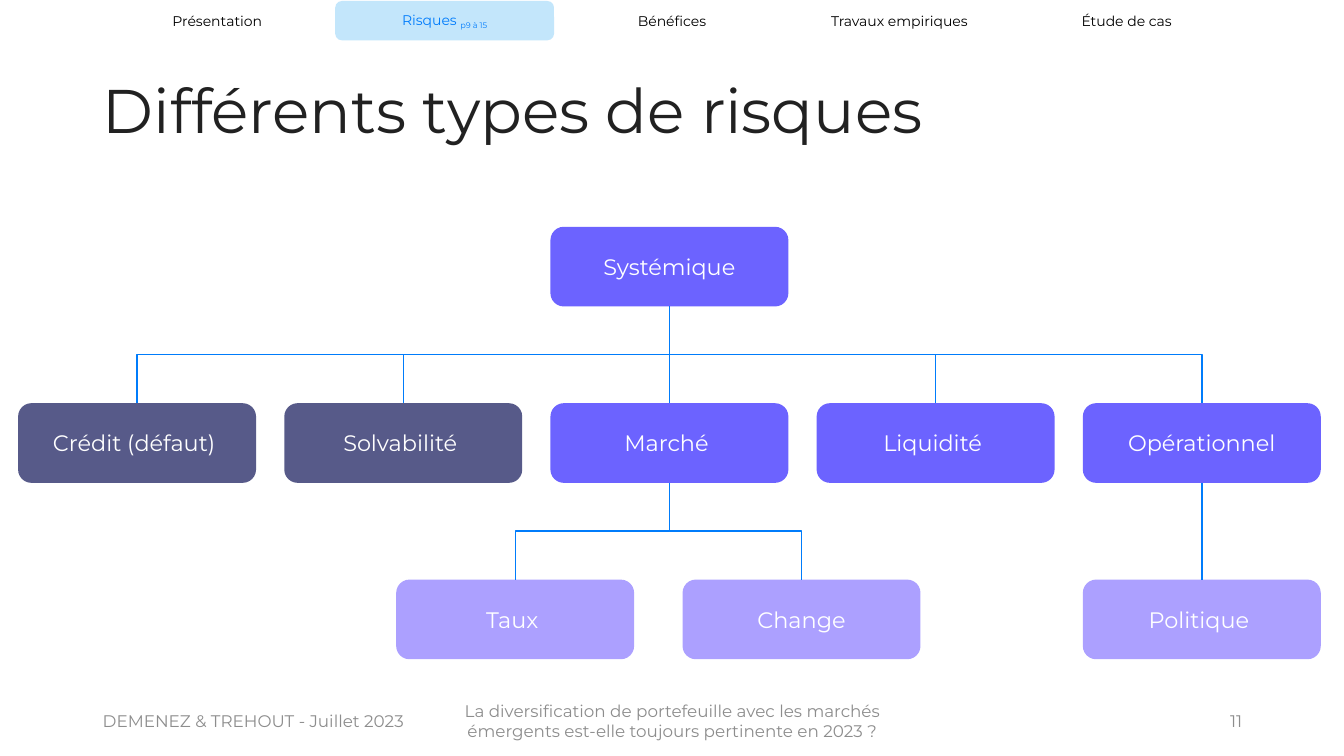
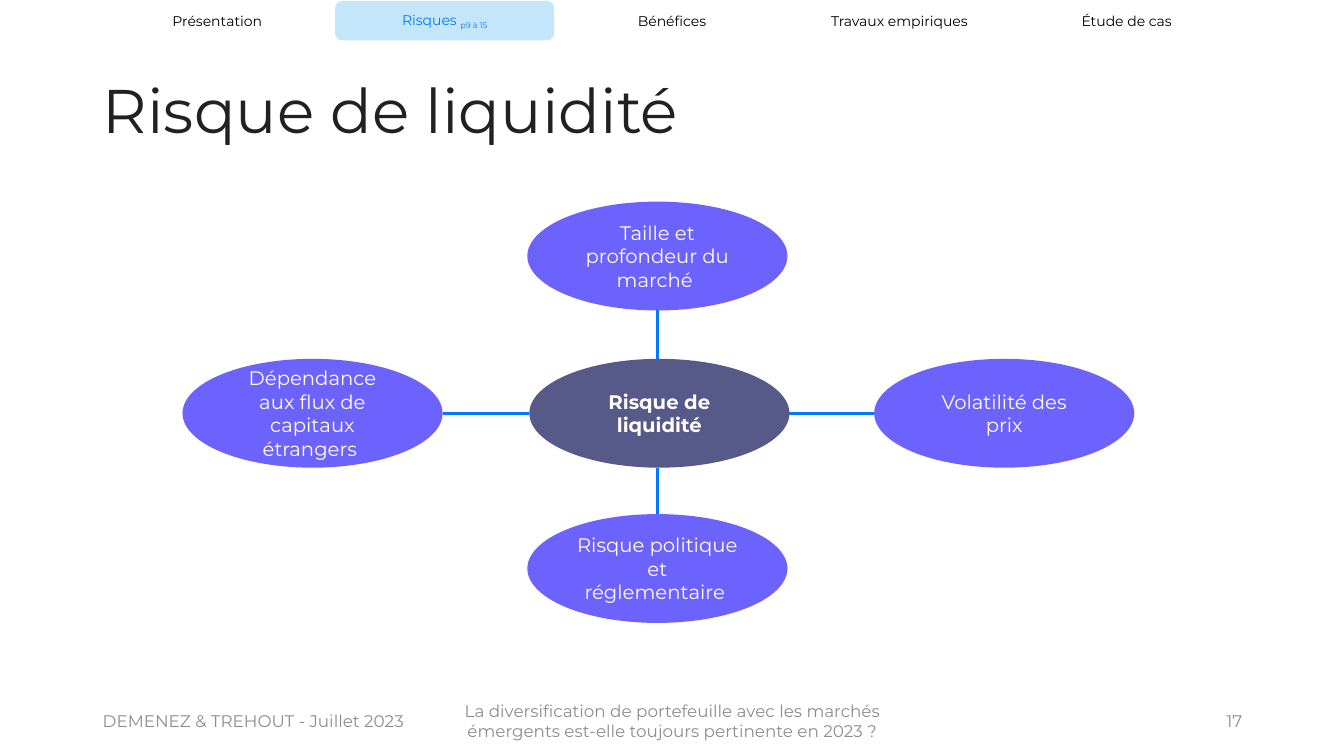
from lxml import etree
from pptx import Presentation
from pptx import util as u
from pptx.dml.color import RGBColor
from pptx.enum import shapes, text
from pptx.oxml.ns import qn

FONT = "Montserrat"
COLOURS = {
    "title": "212121", "tab": "000000", "active": "007CFB", "active_tab": "C3E6FB",
    "footer": "8D8D8D", "white": "FFFFFF", "main": "6C63FF", "dark": "575A89",
    "light": "ACA0FF", "branch": "007CFB", "spoke": "0079FF",
}
SECTIONS = ["Présentation", "Risques ", "Bénéfices", "Travaux empiriques", "Étude de cas"]
ACTIVE_SECTION, ACTIVE_PAGES = "Risques ", "p9 à 15"
FOOTER_AUTHORS = "DEMENEZ & TREHOUT - Juillet 2023"
FOOTER_TOPIC = ("La diversification de portefeuille avec les marchés émergents "
                "est-elle toujours pertinente en 2023 ?")

RISK_TITLE, RISK_PAGE = "Différents types de risques", 11
COLUMNS = [0.18 + 2.64 * column for column in range(5)]
ROWS = [2.25 + 1.75 * row for row in range(3)]
RISKS = [
    ("Systémique", COLUMNS[2], 0, "main", None),
    ("Crédit (défaut) ", COLUMNS[0], 1, "dark", "Systémique"),
    ("Solvabilité ", COLUMNS[1], 1, "dark", "Systémique"),
    ("Marché ", COLUMNS[2], 1, "main", "Systémique"),
    ("Liquidité ", COLUMNS[3], 1, "main", "Systémique"),
    ("Opérationnel", COLUMNS[4], 1, "main", "Systémique"),
    ("Taux ", 3.93, 2, "light", "Marché "),
    ("Change", 6.77, 2, "light", "Marché "),
    ("Politique ", COLUMNS[4], 2, "light", "Opérationnel"),
]
RISK_SIZE = (2.36, 0.79)

LIQUIDITY_TITLE, LIQUIDITY_PAGE = "Risque de liquidité", 17
HUB = ("Risque de liquidité", 5.25, 3.56)
FACTORS = [
    ("Taille et profondeur du marché ", 5.23, 2),
    ("Volatilité des prix", 8.67, 3.56),
    ("Risque politique et réglementaire ", 5.23, 5.1),
    ("Dépendance aux flux de capitaux étrangers ", 1.81, 3.56),
]
OVAL_SIZE = (2.58, 1.08)

ROUNDED = shapes.MSO_SHAPE.ROUNDED_RECTANGLE
OVAL = shapes.MSO_SHAPE.OVAL
LEFT, CENTER, RIGHT = text.PP_ALIGN.LEFT, text.PP_ALIGN.CENTER, text.PP_ALIGN.RIGHT


def rgb(name):
    return RGBColor.from_string(COLOURS[name])


def add_run(paragraph, words, size, colour, bold=False):
    run = paragraph.add_run()
    run.text = words
    for key, value in {"name": FONT, "size": u.Pt(size), "bold": bold}.items():
        setattr(run.font, key, value)
    run.font.color.rgb = rgb(colour)
    return run


def write(holder, words, size, colour, align=CENTER, bold=False):
    frame = holder.text_frame
    settings = {"word_wrap": True, "auto_size": text.MSO_AUTO_SIZE.NONE,
                "vertical_anchor": text.MSO_ANCHOR.MIDDLE}
    for key, value in settings.items():
        setattr(frame, key, value)
    paragraph = frame.paragraphs[0]
    paragraph.alignment = align
    add_run(paragraph, words, size, colour, bold)
    return paragraph


def place(holder, *box):
    for key, value in zip(("left", "top", "width", "height"), box):
        setattr(holder, key, u.Inches(value))


def add_node(slide, kind, box, fill):
    node = slide.shapes.add_shape(kind, *map(u.Inches, box))
    node.shadow.inherit = False
    node.line.fill.background()
    if fill:
        node.fill.solid()
        node.fill.fore_color.rgb = rgb(fill)
    else:
        node.fill.background()
    return node


def add_line(slide, kind, start, end, colour, weight):
    line = slide.shapes.add_connector(kind, *map(u.Inches, (*start, *end)))
    line.line.color.rgb = rgb(colour)
    line.line.width = u.Pt(weight)
    etree.SubElement(line._element.spPr, qn("a:effectLst"))
    return line


def add_branch(slide, parent, child, start, end):
    dx, dy = end[0] - start[0], end[1] - start[1]
    straight = abs(dx) < 0.01
    kind = shapes.MSO_CONNECTOR.STRAIGHT if straight else shapes.MSO_CONNECTOR.ELBOW
    branch = add_line(slide, kind, start, end, "branch", 1)
    branch.begin_connect(parent, 2)
    branch.end_connect(child, 0)
    if straight:
        return
    middle_x, middle_y = start[0] + dx / 2, start[1] + dy / 2
    frame = branch._element.spPr.find(qn("a:xfrm"))
    for flip in ("flipH", "flipV"):
        frame.attrib.pop(flip, None)
    frame.set("rot", str((90 if dx < 0 else 270) * 60000))
    if dx > 0:
        frame.set("flipH", "1")
    place(branch, middle_x - dy / 2, middle_y - abs(dx) / 2, dy, abs(dx))


def add_page(deck, heading, page):
    slide = deck.slides.add_slide(deck.slide_layouts[5])
    for index, section in enumerate(SECTIONS):
        active = section == ACTIVE_SECTION
        tab = add_node(slide, ROUNDED, (1.07 + 2.255 * index, 0.01, 2.17, 0.39),
                       "active_tab" if active else None)
        label = write(tab, section, 10, "active" if active else "tab")
        if active:
            pages = add_run(label, ACTIVE_PAGES, 10, "active")
            pages.font._element.set("baseline", "-25000")
    title = slide.shapes.title
    place(title, 0.92, 0.4, 11.5, 1.45)
    write(title, heading, 44, "title", LEFT).line_spacing = 0.9
    for words, left, width, align in [
        (FOOTER_AUTHORS, 0.92, 3.25, LEFT),
        (FOOTER_TOPIC, 4.42, 4.5, CENTER),
        (str(page), 9.42, 3, RIGHT),
    ]:
        footer = slide.shapes.add_textbox(*map(u.Inches, (left, 6.95, width, 0.4)))
        write(footer, words, 12, "footer", align)
    return slide


def build_risk_tree(deck):
    slide = add_page(deck, RISK_TITLE, RISK_PAGE)
    width, height = RISK_SIZE
    placed = {}
    for name, left, row, fill, parent in RISKS:
        top = ROWS[row]
        risk = add_node(slide, ROUNDED, (left, top, width, height), fill)
        write(risk, name, 16, "white")
        placed[name] = (risk, left + width / 2, top)
        if parent:
            parent_risk, parent_x, parent_top = placed[parent]
            add_branch(slide, parent_risk, risk, (parent_x, parent_top + height),
                       (left + width / 2, top))


def build_liquidity_map(deck):
    slide = add_page(deck, LIQUIDITY_TITLE, LIQUIDITY_PAGE)
    width, height = OVAL_SIZE
    hub_name, hub_left, hub_top = HUB
    hub = add_node(slide, OVAL, (hub_left, hub_top, width, height), "dark")
    write(hub, hub_name, 14, "white", bold=True)
    for name, left, top in FACTORS:
        factor = add_node(slide, OVAL, (left, top, width, height), "main")
        write(factor, name, 14, "white")
        x, y = left + width / 2, top + height / 2
        if top == hub_top:
            first, second = sorted((left, hub_left))
            ends = (first + width, y), (second, y)
        else:
            first, second = sorted((top, hub_top))
            ends = (x, first + height), (x, second)
        add_line(slide, shapes.MSO_CONNECTOR.STRAIGHT, *ends, "spoke", 2.25)


def main():
    deck = Presentation()
    deck.slide_width, deck.slide_height = u.Inches(13.33), u.Inches(7.5)
    build_risk_tree(deck)
    build_liquidity_map(deck)
    deck.save("out.pptx")


if __name__ == "__main__":
    main()
